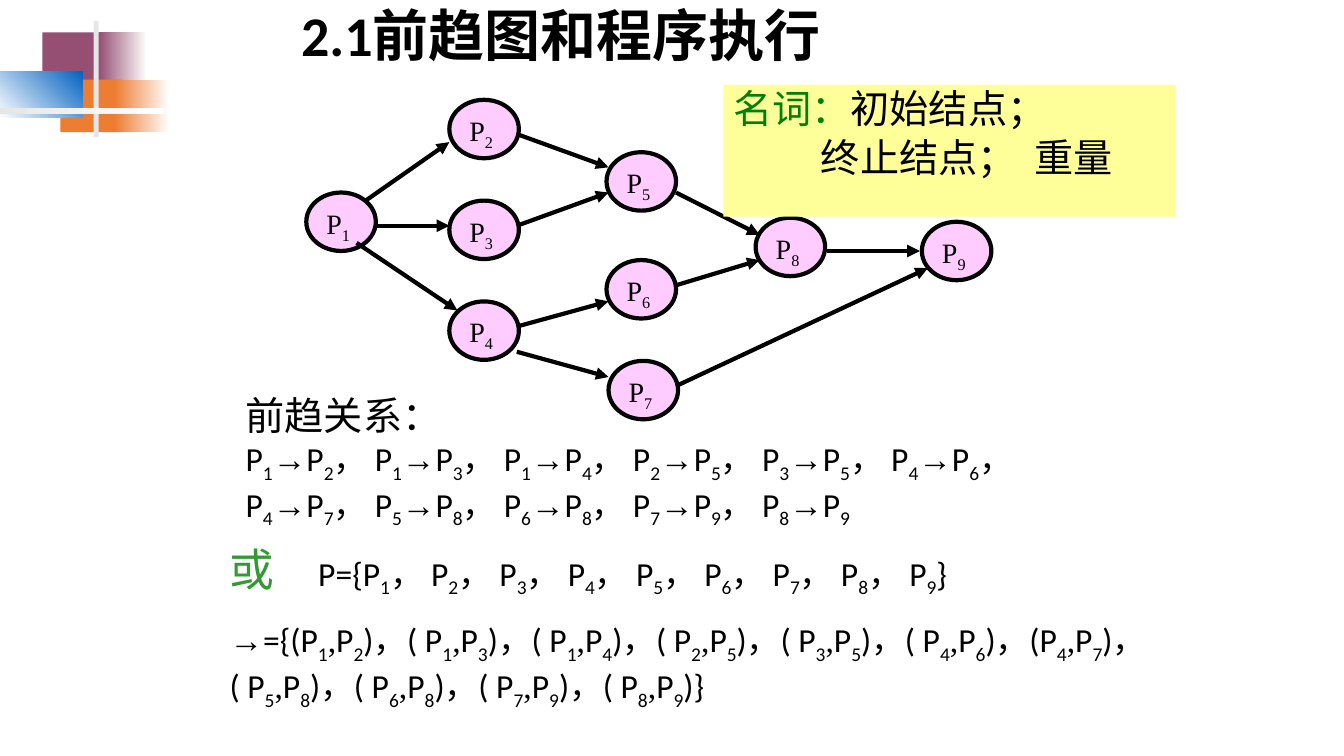
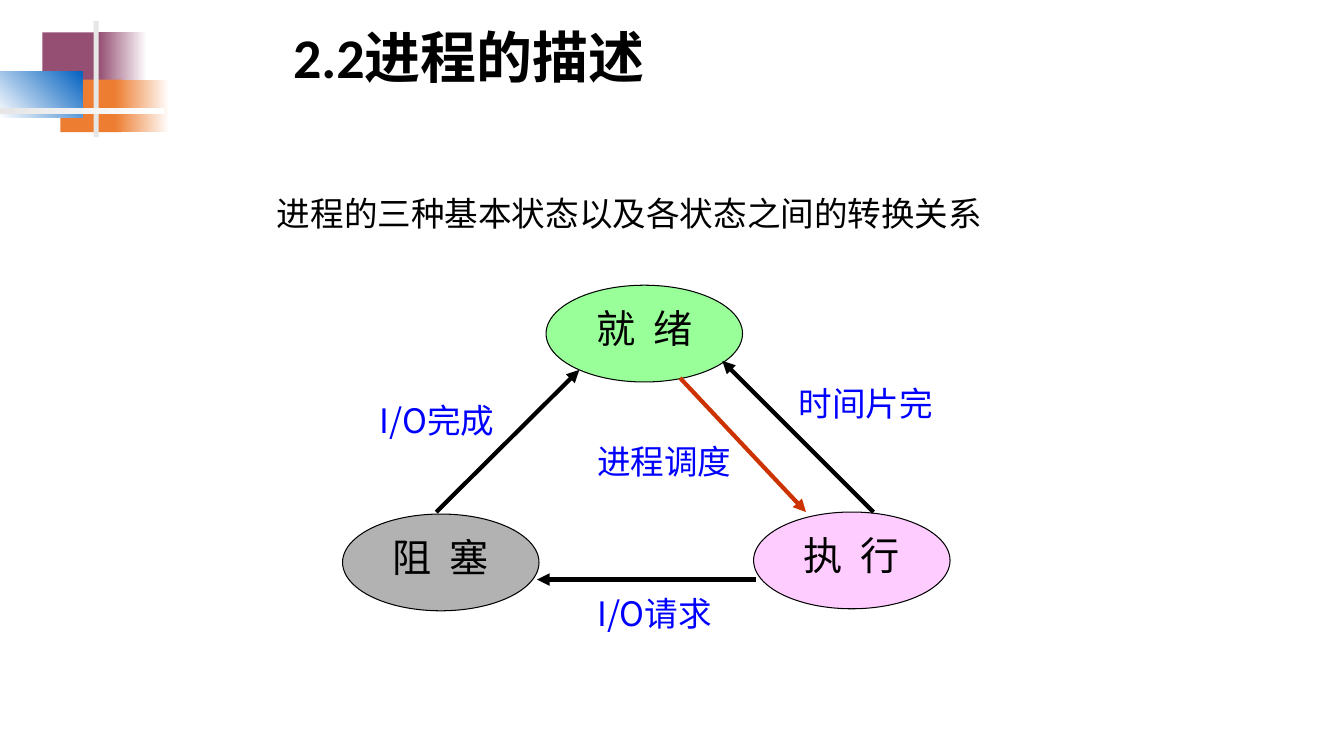
import itertools

import pptx
import pptx.dml.color
import pptx.enum.shapes
import pptx.enum.text
import pptx.oxml.ns
import pptx.oxml.xmlchemy
import pptx.util

Inches = pptx.util.Inches
Pt = pptx.util.Pt
RGBColor = pptx.dml.color.RGBColor
SHAPE = pptx.enum.shapes.MSO_SHAPE
ALIGN = pptx.enum.text.PP_ALIGN
ANCHOR = pptx.enum.text.MSO_ANCHOR

BLACK = RGBColor(0x00, 0x00, 0x00)
WHITE = RGBColor(0xFF, 0xFF, 0xFF)
PLUM = RGBColor(0x95, 0x4F, 0x72)
ORANGE = RGBColor(0xED, 0x7D, 0x31)
BLUE = RGBColor(0x05, 0x63, 0xC1)
GREY = RGBColor(0xE7, 0xE6, 0xE6)
PINK = RGBColor(0xFF, 0xCC, 0xFF)
SILVER = RGBColor(0xB2, 0xB2, 0xB2)
LIME = RGBColor(0x99, 0xFF, 0x99)
YELLOW = RGBColor(0xFF, 0xFF, 0x99)
GREEN = RGBColor(0x00, 0x80, 0x00)
LEAF = RGBColor(0x33, 0x99, 0x33)
LABEL_BLUE = RGBColor(0x00, 0x00, 0xFF)
RED = RGBColor(0xCC, 0x33, 0x00)

CALIBRI, TIMES, ARIAL, CABIN = "Calibri", "Times New Roman", "Arial", "Cabin"
CJK = "Noto Sans CJK SC"

EMBLEM = [
    ((0.42, 0.32, 0.64, 0.52), (PLUM,), 0),
    ((0.98, 0.32, 0.48, 0.52), (PLUM, WHITE), 0),
    ((0.6, 0.79, 0.61, 0.52), (ORANGE,), 0),
    ((1.14, 0.79, 0.54, 0.52), (ORANGE, WHITE), 0),
    ((0, 0.71, 0.82, 0.46), (WHITE, BLUE), 45),
    ((0.93, 0.21, 0.05, 1.15), (GREY,), 0),
    ((0, 1.07, 1.63, 0.06), (GREY, WHITE), 0),
]

NODE_SIZE = (0.69, 0.58)
NODES = {
    1: (3.04, 1.91), 2: (4.46, 0.99), 3: (4.46, 1.99),
    4: (4.46, 2.99), 5: (6.02, 1.51), 6: (6.02, 2.58),
    7: (6.04, 3.58), 8: (7.5, 2.16), 9: (9.15, 2.2),
}
EDGES = {
    (1, 2): ((3.63, 1.99), (4.46, 1.41)),
    (1, 3): ((3.71, 2.24), (4.46, 2.24)),
    (1, 4): ((3.54, 2.41), (4.54, 3.08)),
    (2, 5): ((5.13, 1.33), (6.04, 1.66)),
    (3, 5): ((5.13, 2.24), (6.04, 1.91)),
    (4, 6): ((5.13, 3.24), (6.04, 2.99)),
    (4, 7): ((5.13, 3.49), (6.04, 3.74)),
    (5, 8): ((6.71, 1.91), (7.54, 2.33)),
    (6, 8): ((6.71, 2.83), (7.54, 2.58)),
    (7, 9): ((6.71, 3.83), (9.21, 2.66)),
    (8, 9): ((8.21, 2.49), (9.13, 2.49)),
}

STATE_SIZE = (1.95, 0.96)
STATES = [
    ("执  行", (7.48, 5.08), PINK),
    ("阻  塞", (3.4, 5.1), SILVER),
    ("就  绪", (5.42, 2.83), LIME),
]
TRANSITIONS = [
    ("I/O请求", (5.83, 5.83, 1.5, 0.5), CJK, (7.5, 5.75), (5.33, 5.75), BLACK),
    ("I/O完成", (3.67, 3.92, 1.5, 0.5), CJK, (4.33, 5.08), (5.75, 3.67), BLACK),
    ("时间片完", (7.83, 3.75, 1.75, 0.5), TIMES, (8.67, 5.08), (7.17, 3.58), BLACK),
    ("进程调度", (5.83, 4.33, 1.67, 0.5), TIMES, (6.75, 3.75), (8, 5.08), RED),
]


def add_xml(parent, tag, **attributes):
    child = pptx.oxml.xmlchemy.OxmlElement(tag)
    for key, value in attributes.items():
        child.set(key, str(value))
    parent.append(child)
    return child


def formula_role(char):
    if char.isdigit():
        return "subscript"
    return {"→": "arrow", ",": "comma"}.get(char, "plain")


def write(paragraph, text, *, font=CALIBRI, size=24, color=BLACK, bold=False, formula=False):
    pieces = itertools.groupby(text, formula_role if formula else lambda char: "plain")
    for role, chars in pieces:
        run = paragraph.add_run()
        run.text = "".join(chars)
        name = {"arrow": ARIAL, "comma": TIMES}.get(role, font)
        run.font.name = name
        run.font.size = Pt(size)
        run.font.bold = bold
        run.font.color.rgb = color
        properties = run._r.get_or_add_rPr()
        add_xml(properties, "a:ea", typeface=ARIAL if role == "arrow" else CJK)
        if role == "subscript":
            properties.set("baseline", "-25000")


def add_box(slide, box):
    frame = slide.shapes.add_textbox(*map(Inches, box)).text_frame
    frame.word_wrap = True
    return frame


def add_figure(slide, kind, box, colors, angle=0, line=None):
    figure = slide.shapes.add_shape(kind, *map(Inches, box))
    figure.shadow.inherit = False
    if len(colors) == 1:
        figure.fill.solid()
        figure.fill.fore_color.rgb = colors[0]
    else:
        figure.fill.gradient()
        figure.fill.gradient_angle = angle
        for stop, color in zip(figure.fill.gradient_stops, colors):
            stop.color.rgb = color
    if line is None:
        figure.line.fill.background()
    else:
        figure.line.color.rgb = BLACK
        figure.line.width = Pt(line)
    frame = figure.text_frame
    frame.word_wrap = True
    frame.vertical_anchor = ANCHOR.TOP
    frame.paragraphs[0].alignment = ALIGN.LEFT
    return frame


def add_arrow(slide, start, end, color=BLACK):
    arrow = slide.shapes.add_connector(
        pptx.enum.shapes.MSO_CONNECTOR.STRAIGHT, *map(Inches, start + end))
    arrow.line.color.rgb = color
    arrow.line.width = Pt(3)
    add_xml(arrow.line._get_or_add_ln(), "a:tailEnd", type="triangle")
    add_xml(arrow._element.spPr, "a:effectLst")


def start_slide(deck, title, box):
    slide = deck.slides.add_slide(deck.slide_layouts[6])
    for part, colors, angle in EMBLEM:
        add_figure(slide, SHAPE.RECTANGLE, part, colors, angle)
    frame = add_box(slide, box)
    frame.vertical_anchor = ANCHOR.MIDDLE
    frame.paragraphs[0].line_spacing = 0.9
    write(frame.paragraphs[0], title, size=40, bold=True)
    return slide


def build_precedence(deck):
    slide = start_slide(deck, "2.1前趋图和程序执行", (2.89, 0, 8.52, 0.77))
    for number, corner in NODES.items():
        node = add_figure(slide, SHAPE.OVAL, corner + NODE_SIZE, (PINK,), line=3)
        write(node.paragraphs[0], f"P{number}", font=TIMES, size=20, formula=True)
    for start, end in EDGES.values():
        add_arrow(slide, start, end)

    relations = add_box(slide, (2.34, 3.83, 8.9, 1.48))
    write(relations.paragraphs[0], "前趋关系：", size=28)
    write(relations.add_paragraph(), "， ".join(f"P{a}→P{b}" for a, b in EDGES), formula=True)

    sets = add_box(slide, (2.18, 5.32, 9.49, 1.79))
    members = sets.paragraphs[0]
    tabs = add_xml(members._p.get_or_add_pPr(), "a:tabLst")
    add_xml(tabs, "a:tab", pos=Inches(0.88), algn="l")
    write(members, "或\t", size=32, color=LEAF)
    write(members, "P={" + "， ".join(f"P{number}" for number in NODES) + "}", formula=True)
    pairs = [f"P{a},P{b}" for a, b in EDGES]
    rows = [")，( ".join(row) for row in (pairs[:6], pairs[6:])]
    ordered = sets.add_paragraph()
    ordered.space_before = Pt(15)
    write(ordered, "→={(" + ")，(".join(rows) + ")}", formula=True)

    terms = add_figure(slide, SHAPE.RECTANGLE, (7.18, 0.84, 4.49, 1.31), (YELLOW,))
    first, second = terms.paragraphs[0], terms.add_paragraph()
    write(first, "名词：", size=28, color=GREEN)
    write(first, "初始结点；", size=28)
    write(second, "终止结点；  重量", size=28)
    second.alignment = ALIGN.LEFT
    second.space_before = Pt(4.5)
    second._p.get_or_add_pPr().set("marL", str(Inches(0.87)))
    for line in (first, second):
        line.line_spacing = 0.9


def build_states(deck):
    slide = start_slide(deck, "2.2进程的描述", (2.81, 0.21, 8.52, 0.78))
    for name, corner, color in STATES:
        state = add_figure(slide, SHAPE.OVAL, corner + STATE_SIZE, (color,), line=0.75)
        state.paragraphs[0].alignment = ALIGN.CENTER
        write(state.paragraphs[0], name, font=CJK, size=28)
    for cause, box, font, start, end, color in TRANSITIONS:
        add_arrow(slide, start, end, color)
        write(add_box(slide, box).paragraphs[0], cause, font=font, color=LABEL_BLUE)
    caption = add_box(slide, (2.65, 1.86, 7.83, 0.5))
    write(caption.paragraphs[0], "进程的三种基本状态以及各状态之间的转换关系", font=CABIN)


def main():
    deck = pptx.Presentation()
    deck.slide_width, deck.slide_height = Inches(13.34), Inches(7.5)
    build_precedence(deck)
    build_states(deck)
    deck.save("out.pptx")


if __name__ == "__main__":
    main()
